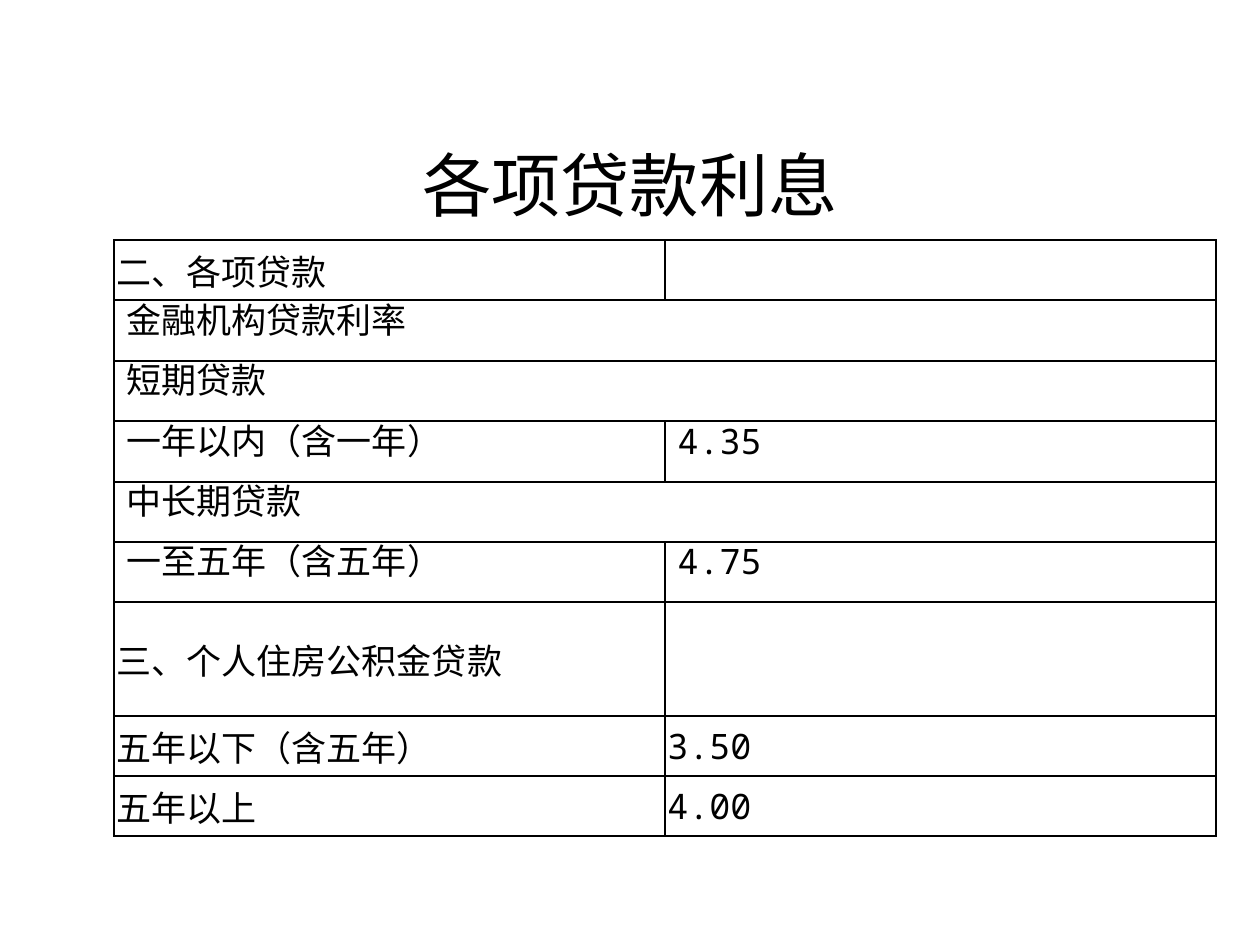
from itertools import pairwise

from lxml import etree
from pptx import Presentation
from pptx import util as u
from pptx.dml.color import RGBColor
from pptx.enum import text
from pptx.oxml import ns

SCALE = 914400 / 126
COLORS = {"ink": "000000", "paper": "FFFFFF"}
COLUMN_WIDTH = 551
ROW_EDGES = [240, 300, 361, 421, 482, 542, 602, 716, 776, 836]
HEADING, GROUP, RATE, FUND = "heading", "group", "rate", "fund"
LOAN_ROWS = [
    (HEADING, "二、各项贷款", ""),
    (GROUP, "金融机构贷款利率", ""),
    (GROUP, "短期贷款", ""),
    (RATE, "一年以内（含一年）", "4.35"),
    (GROUP, "中长期贷款", ""),
    (RATE, "一至五年（含五年）", "4.75"),
    (HEADING, "三、个人住房公积金贷款", ""),
    (FUND, "五年以下（含五年）", "3.50"),
    (FUND, "五年以上", "4.00"),
]


def px(length):
    return u.Emu(round(length * SCALE))


def write_text(frame, words, *, size, font, align=text.PP_ALIGN.LEFT, spacing=None):
    para = frame.paragraphs[0]
    para.alignment = align
    if spacing:
        para.line_spacing = u.Pt(spacing)
    span = para.add_run()
    span.text = words
    span.font.size = u.Pt(size)
    span.font.name = font
    span.font.color.rgb = RGBColor.from_string(COLORS["ink"])


def add_title(page, words):
    box = page.shapes.add_textbox(px(44), px(135), px(1172), px(97))
    frame = box.text_frame
    frame.word_wrap = True
    frame.vertical_anchor = text.MSO_ANCHOR.MIDDLE
    write_text(frame, words, size=39.6, font="Calibri", align=text.PP_ALIGN.CENTER)


def draw_borders(cell):
    properties = cell._tc.get_or_add_tcPr()
    for side in ("lnL", "lnR", "lnT", "lnB"):
        line = etree.SubElement(properties, ns.qn(f"a:{side}"), w=str(u.Pt(1)))
        fill = etree.SubElement(line, ns.qn("a:solidFill"))
        etree.SubElement(fill, ns.qn("a:srgbClr"), val=COLORS["ink"])


def format_cell(cell, words, *, indented):
    draw_borders(cell)
    cell.fill.solid()
    cell.fill.fore_color.rgb = RGBColor.from_string(COLORS["paper"])
    cell.vertical_anchor = text.MSO_ANCHOR.MIDDLE
    across, down = (0.1, 0.05) if indented else (0.02, 0.02)
    cell.margin_left = cell.margin_right = u.Inches(across)
    cell.margin_top = cell.margin_bottom = u.Inches(down)
    if words:
        write_text(cell.text_frame, words, size=20, font="Noto Sans Mono",
                   spacing=15 if indented else None)


def add_rate_table(page):
    frame = page.shapes.add_table(
        len(LOAN_ROWS), 2, px(114), px(ROW_EDGES[0]),
        px(2 * COLUMN_WIDTH), px(ROW_EDGES[-1] - ROW_EDGES[0]))
    table = frame.table
    table.first_row = table.horz_banding = False
    for column in table.columns:
        column.width = px(COLUMN_WIDTH)
    for row, (top, bottom) in zip(table.rows, pairwise(ROW_EDGES)):
        row.height = px(bottom - top)
    for row, (kind, *entries) in zip(table.rows, LOAN_ROWS):
        for cell, words in zip(row.cells, entries):
            format_cell(cell, words, indented=kind in (GROUP, RATE))
        if kind == GROUP:
            row.cells[0].merge(row.cells[1])


def main():
    deck = Presentation()
    deck.slide_width, deck.slide_height = px(1260), px(945)
    page = deck.slides.add_slide(deck.slide_layouts[6])
    add_title(page, "各项贷款利息")
    add_rate_table(page)
    deck.save("out.pptx")


if __name__ == "__main__":
    main()
